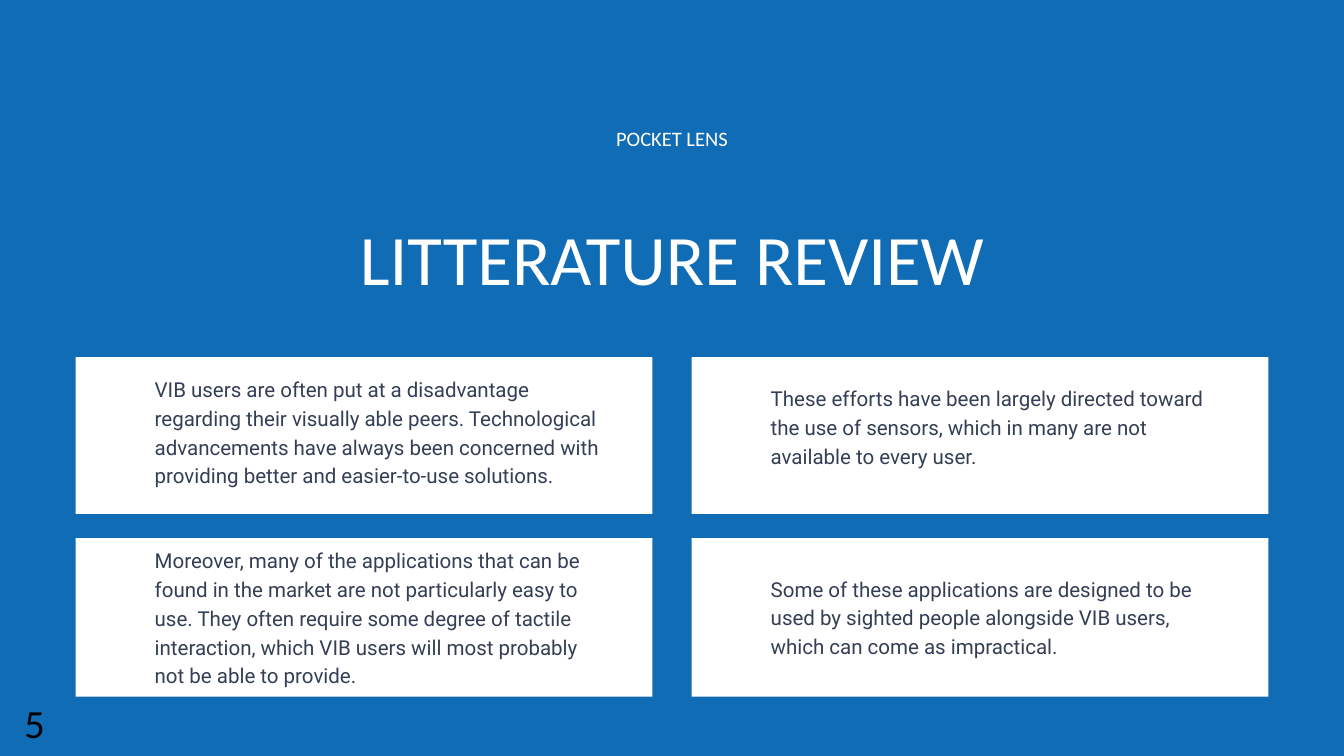
from dataclasses import dataclass

from pptx import Presentation
from pptx import util as u
from pptx.dml.color import RGBColor
from pptx.enum import shapes, text


@dataclass(frozen=True)
class Theme:
    background: str = "106CB5"
    card: str = "FFFFFF"
    heading: str = "FFFFFF"
    body: str = "343F56"
    number: str = "000000"
    heading_font: str = "Calibri"
    body_font: str = "Roboto"
    number_font: str = "Lato"
    title_size: float = 76
    text_size: float = 22
    number_size: float = 38.3
    line_ratio: float = 1.4


class SlideBuilder:
    """Draws styled elements on one slide, with lengths in points."""

    def __init__(self, slide, theme):
        self.slide = slide
        self.theme = theme
        fill = slide.background.fill
        fill.solid()
        fill.fore_color.rgb = RGBColor.from_string(theme.background)

    def card(self, left, top, width, height):
        shape = self.slide.shapes.add_shape(
            shapes.MSO_SHAPE.RECTANGLE, u.Pt(left), u.Pt(top), u.Pt(width), u.Pt(height))
        shape.shadow.inherit = False
        shape.fill.solid()
        shape.fill.fore_color.rgb = RGBColor.from_string(self.theme.card)
        shape.line.fill.background()

    def label(self, words, left, top, width, height, font, size, color, centered=True):
        box = self.slide.shapes.add_textbox(
            u.Pt(left), u.Pt(top), u.Pt(width), u.Pt(height))
        frame = box.text_frame
        frame.word_wrap = True
        frame.auto_size = text.MSO_AUTO_SIZE.SHAPE_TO_FIT_TEXT
        frame.margin_left = frame.margin_right = frame.margin_top = frame.margin_bottom = 0
        paragraph = frame.paragraphs[0]
        paragraph.text = words
        paragraph.alignment = text.PP_ALIGN.CENTER if centered else text.PP_ALIGN.LEFT
        paragraph.line_spacing = u.Pt(round(size * self.theme.line_ratio, 1))
        paragraph.font.name = font
        paragraph.font.size = u.Pt(size)
        paragraph.font.color.rgb = RGBColor.from_string(color)

    def body(self, words, left, top, width, height):
        theme = self.theme
        self.label(words, left, top, width, height, theme.body_font,
                   theme.text_size, theme.body, centered=False)


SLIDE_WIDTH, SLIDE_HEIGHT = 1440, 810
CARD_WIDTH, MARGIN = 618, 81
COLUMNS = (MARGIN, SLIDE_WIDTH - MARGIN - CARD_WIDTH)
ROWS = ((382.5, 168), (576.5, 170))
TEXT_INDENT, TEXT_WIDTH = 84.75, 485.25
FINDINGS = (
    (0, 0, 399.5, 122.5,
     "VIB users are often put at a disadvantage regarding their visually able peers. "
     "Technological advancements have always been concerned with providing better and "
     "easier-to-use solutions."),
    (0, 1, 583, 153.5,
     "Moreover, many of the applications that can be found in the market are not "
     "particularly easy to use. They often require some degree of tactile interaction, "
     "which VIB users will most probably not be able to provide."),
    (1, 0, 409.5, 91.5,
     "These efforts have been largely directed toward the use of sensors, which in many "
     "are not available to every user."),
    (1, 1, 613.5, 91.5,
     "Some of these applications are designed to be used by sighted people alongside VIB "
     "users, which can come as impractical."),
)


def main():
    presentation = Presentation()
    presentation.slide_width = u.Pt(SLIDE_WIDTH)
    presentation.slide_height = u.Pt(SLIDE_HEIGHT)
    theme = Theme()
    slide = presentation.slides.add_slide(presentation.slide_layouts[6])
    builder = SlideBuilder(slide, theme)

    for column, row, text_top, text_height, words in FINDINGS:
        left = COLUMNS[column]
        top, height = ROWS[row]
        builder.card(left, top, CARD_WIDTH, height)
        builder.body(words, left + TEXT_INDENT, text_top, TEXT_WIDTH, text_height)

    builder.label("LITTERATURE REVIEW", 212, 214.5, 1016, 102,
                  theme.heading_font, theme.title_size, theme.heading)
    builder.label("POCKET LENS", 551, 130.5, 338, 31,
                  theme.heading_font, theme.text_size, theme.heading)
    builder.label("5", 26, 745, 21.5, 50.5,
                  theme.number_font, theme.number_size, theme.number)
    presentation.save("out.pptx")


if __name__ == "__main__":
    main()
